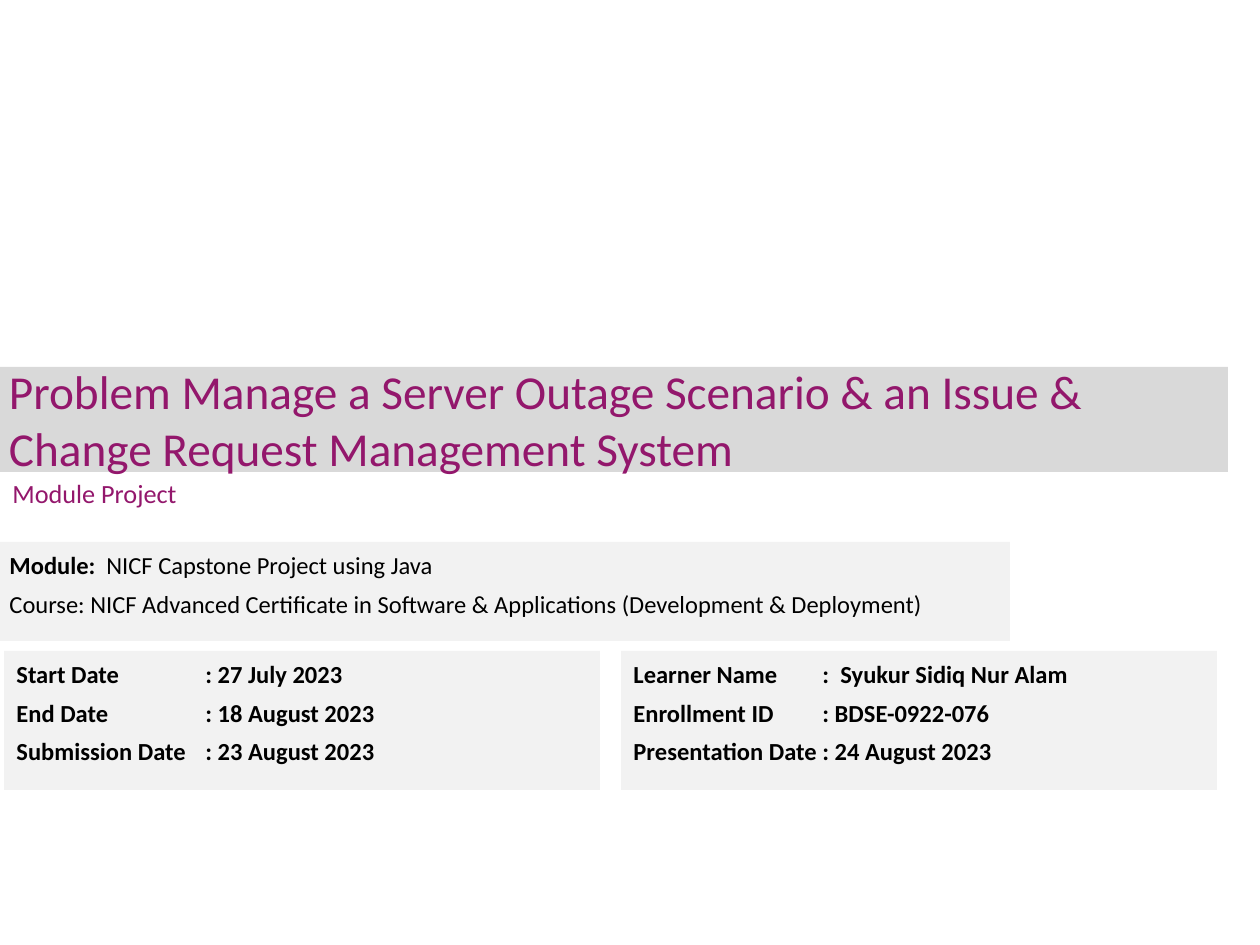
from pptx import Presentation
from pptx import util as u
from pptx.dml.color import RGBColor
from pptx.enum import shapes, text
from pptx.oxml.ns import qn
from lxml import etree

PX = u.Inches(1) / 126
PLUM = RGBColor(0x93, 0x17, 0x6C)
BLACK = RGBColor(0, 0, 0)
BAND = RGBColor(0xD9, 0xD9, 0xD9)
PANEL = RGBColor(0xF2, 0xF2, 0xF2)

LABEL_TAB = 189
PANELS = [
    # box, tab stops, lines of (text, bold) runs
    ((4, 651, 596, 139), [LABEL_TAB], [
        [("Start Date\t: 27 July 2023", True)],
        [("End Date\t: 18 August 2023", True)],
        [("Submission Date\t: 23 August 2023", True)],
    ]),
    ((-3, 542, 1013, 99), [97], [
        [("Module:\t", True), ("NICF Capstone Project using Java", False)],
        [("Course: NICF Advanced Certificate in Software & Applications "
          "(Development & Deployment)", False)],
    ]),
    ((621, 651, 596, 139), [LABEL_TAB, 207], [
        [("Learner Name\t:\tSyukur Sidiq Nur Alam", True)],
        [("Enrollment ID\t: BDSE-0922-076", True)],
        [("Presentation Date\t: 24 August 2023", True)],
    ]),
]


def px(n):
    return u.Emu(round(n * PX))


def set_all(obj, values):
    for name, value in values.items():
        setattr(obj, name, value)


def place(sp, box):
    set_all(sp, dict(zip(("left", "top", "width", "height"), map(px, box))))


def fill(sp, color):
    sp.fill.solid()
    sp.fill.fore_color.rgb = color


def add_run(p, words, size, color, bold=False):
    r = p.add_run()
    r.text = words
    set_all(r.font, {"name": "Calibri", "size": u.Pt(size), "bold": bold})
    r.font.color.rgb = color


def add_tabs(p, stops):
    tabs = etree.SubElement(p._p.get_or_add_pPr(), qn("a:tabLst"))
    for stop in stops:
        etree.SubElement(tabs, qn("a:tab"), pos=str(px(stop)), algn="l")


def add_title(s, words):
    sp = s.shapes.title
    place(sp, (0, 367, 1228, 105))
    fill(sp, BAND)
    tf = sp.text_frame
    set_all(tf, {
        "word_wrap": True,
        "auto_size": text.MSO_AUTO_SIZE.NONE,
        "vertical_anchor": text.MSO_ANCHOR.MIDDLE,
        "margin_left": px(9), "margin_right": px(9),
        "margin_top": px(5), "margin_bottom": px(5),
    })
    p = tf.paragraphs[0]
    p.alignment = text.PP_ALIGN.LEFT
    add_run(p, words, 27, PLUM)


def add_subtitle(s, words):
    tf = s.shapes.add_textbox(*map(px, (0, 454, 809, 78))).text_frame
    set_all(tf, {"word_wrap": True, "vertical_anchor": text.MSO_ANCHOR.MIDDLE})
    add_run(tf.paragraphs[0], words, 15, PLUM)


def add_panel(s, box, stops, lines):
    sp = s.shapes.add_shape(shapes.MSO_SHAPE.RECTANGLE, *map(px, box))
    sp.shadow.inherit = False
    fill(sp, PANEL)
    sp.line.fill.background()
    tf = sp.text_frame
    set_all(tf, {"word_wrap": True, "vertical_anchor": text.MSO_ANCHOR.TOP})
    for i, runs in enumerate(lines):
        p = tf.add_paragraph() if i else tf.paragraphs[0]
        add_tabs(p, stops)
        set_all(p, {
            "alignment": text.PP_ALIGN.LEFT,
            "line_spacing": u.Pt(18),
            "space_before": u.Pt(2 if i else 0),
            "space_after": u.Pt(2),
        })
        for words, bold in runs:
            add_run(p, words, 14, BLACK, bold)


def main():
    prs = Presentation()
    set_all(prs, {"slide_width": px(1260), "slide_height": px(945)})
    s = prs.slides.add_slide(prs.slide_layouts.get_by_name("Title Only"))
    add_title(s, "Problem Manage a Server Outage Scenario & an Issue & "
                 "Change Request Management System")
    add_subtitle(s, "Module Project")
    for panel in PANELS:
        add_panel(s, *panel)
    prs.save("out.pptx")


if __name__ == "__main__":
    main()
